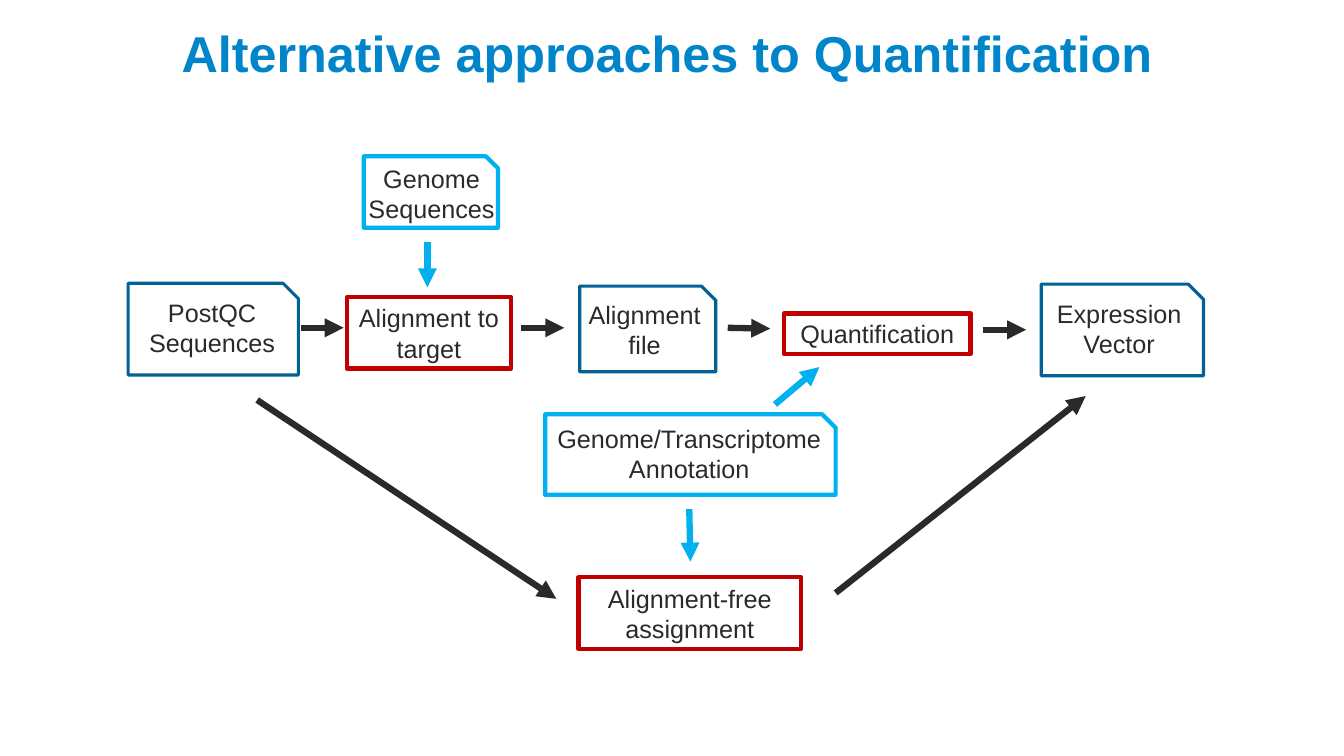
from lxml.etree import SubElement
from pptx import Presentation
from pptx.dml.color import RGBColor
from pptx.enum.shapes import MSO_CONNECTOR, MSO_SHAPE
from pptx.enum.text import MSO_ANCHOR, PP_ALIGN
from pptx.oxml.ns import qn
from pptx.util import Cm, Pt

TITLE_BLUE = RGBColor(0x00, 0x85, 0xCA)
DARK_BLUE = RGBColor(0x00, 0x62, 0x95)
LIGHT_BLUE = RGBColor(0x00, 0xB0, 0xF0)
RED = RGBColor(0xC0, 0x00, 0x00)
INK = RGBColor(0x2C, 0x2A, 0x29)
WHITE = RGBColor(0xFF, 0xFF, 0xFF)

# label, shape bounds, label bounds, outline colour, outline width
DOCUMENTS = [
    ("PostQC Sequences", (3.23, 7.14, 4.29, 2.31), (3.12, 7.37, 4.45, 1.8), DARK_BLUE, 2.25),
    ("Genome Sequences", (9.17, 3.94, 3.38, 1.8), (9.02, 3.99, 3.71, 1.8), LIGHT_BLUE, 3),
    ("Genome/Transcriptome Annotation", (13.74, 10.44, 7.32, 2.03),
     (13.23, 10.54, 8.28, 1.8), LIGHT_BLUE, 3),
    ("Alignment file", (14.61, 7.21, 3.43, 2.16), (14.53, 7.42, 3.43, 1.8), DARK_BLUE, 2.25),
    ("Expression Vector", (26.24, 7.16, 4.09, 2.31), (26.16, 7.39, 4.09, 1.8), DARK_BLUE, 2.25),
]
PROCESSES = [
    ("Alignment to target", (8.74, 7.49, 4.14, 1.8)),
    ("Quantification", (19.76, 7.9, 4.7, 1.02)),
    ("Alignment-free assignment", (14.58, 14.55, 5.61, 1.8)),
]
# start, end, colour
ARROWS = [
    ((7.59, 8.26), (8.66, 8.26), INK),
    ((13.13, 8.26), (14.22, 8.26), INK),
    ((18.34, 8.26), (19.41, 8.28), INK),
    ((24.77, 8.31), (25.86, 8.31), INK),
    ((6.48, 10.08), (14.02, 15.09), INK),
    ((21.06, 14.94), (27.36, 9.98), INK),
    ((10.77, 6.1), (10.77, 7.24), LIGHT_BLUE),
    ((19.53, 10.19), (20.65, 9.25), LIGHT_BLUE),
    ((17.37, 12.83), (17.4, 14.15), LIGHT_BLUE),
]


class FlowSlide:
    font_name = "Arial"
    label_size = 18
    title_size = 36
    arrow_width = 4.5

    def __init__(self, slide):
        self.slide = slide

    def set_text(self, shape, text, size, color, bold=False):
        frame = shape.text_frame
        frame.word_wrap = True
        frame.text = text
        paragraph = frame.paragraphs[0]
        paragraph.alignment = PP_ALIGN.CENTER
        font = paragraph.runs[0].font
        font.name = self.font_name
        font.size = Pt(size)
        font.bold = bold
        font.color.rgb = color

    def title(self, text, bounds):
        shape = self.slide.shapes.title
        shape.left, shape.top, shape.width, shape.height = map(Cm, bounds)
        self.set_text(shape, text, self.title_size, TITLE_BLUE, bold=True)
        shape.text_frame.vertical_anchor = MSO_ANCHOR.BOTTOM
        shape.text_frame.margin_left = 0

    def outline(self, shapes, kind, bounds, color, width):
        shape = shapes.add_shape(kind, *map(Cm, bounds))
        shape.shadow.inherit = False
        shape.fill.solid()
        shape.fill.fore_color.rgb = WHITE
        shape.line.color.rgb = color
        shape.line.width = Pt(width)
        return shape

    def document(self, text, bounds, label_bounds, color, width):
        """Group a snipped-corner outline with its label."""
        group = self.slide.shapes.add_group_shape()
        self.outline(group.shapes, MSO_SHAPE.SNIP_1_RECTANGLE, bounds, color, width)
        label = group.shapes.add_textbox(*map(Cm, label_bounds))
        label.text_frame.margin_left = label.text_frame.margin_right = Cm(0.15)
        self.set_text(label, text, self.label_size, INK)

    def process(self, text, bounds):
        shape = self.outline(self.slide.shapes, MSO_SHAPE.RECTANGLE, bounds, RED, 3)
        shape.text_frame.vertical_anchor = MSO_ANCHOR.MIDDLE
        self.set_text(shape, text, self.label_size, INK)

    def arrow(self, start, end, color):
        connector = self.slide.shapes.add_connector(
            MSO_CONNECTOR.STRAIGHT, *map(Cm, start + end))
        connector.line.color.rgb = color
        connector.line.width = Pt(self.arrow_width)
        properties = connector._element.spPr
        SubElement(properties.find(qn("a:ln")), qn("a:tailEnd"), type="triangle")
        SubElement(properties, qn("a:effectLst"))


def main():
    presentation = Presentation()
    presentation.slide_width = Cm(33.87)
    presentation.slide_height = Cm(19.05)
    title_only = presentation.slide_layouts[5]
    flow = FlowSlide(presentation.slides.add_slide(title_only))
    flow.title("Alternative approaches to Quantification", (2.34, 0, 29.21, 2.21))
    for document in DOCUMENTS:
        flow.document(*document)
    for process in PROCESSES:
        flow.process(*process)
    for arrow in ARROWS:
        flow.arrow(*arrow)
    presentation.save("out.pptx")


if __name__ == "__main__":
    main()
